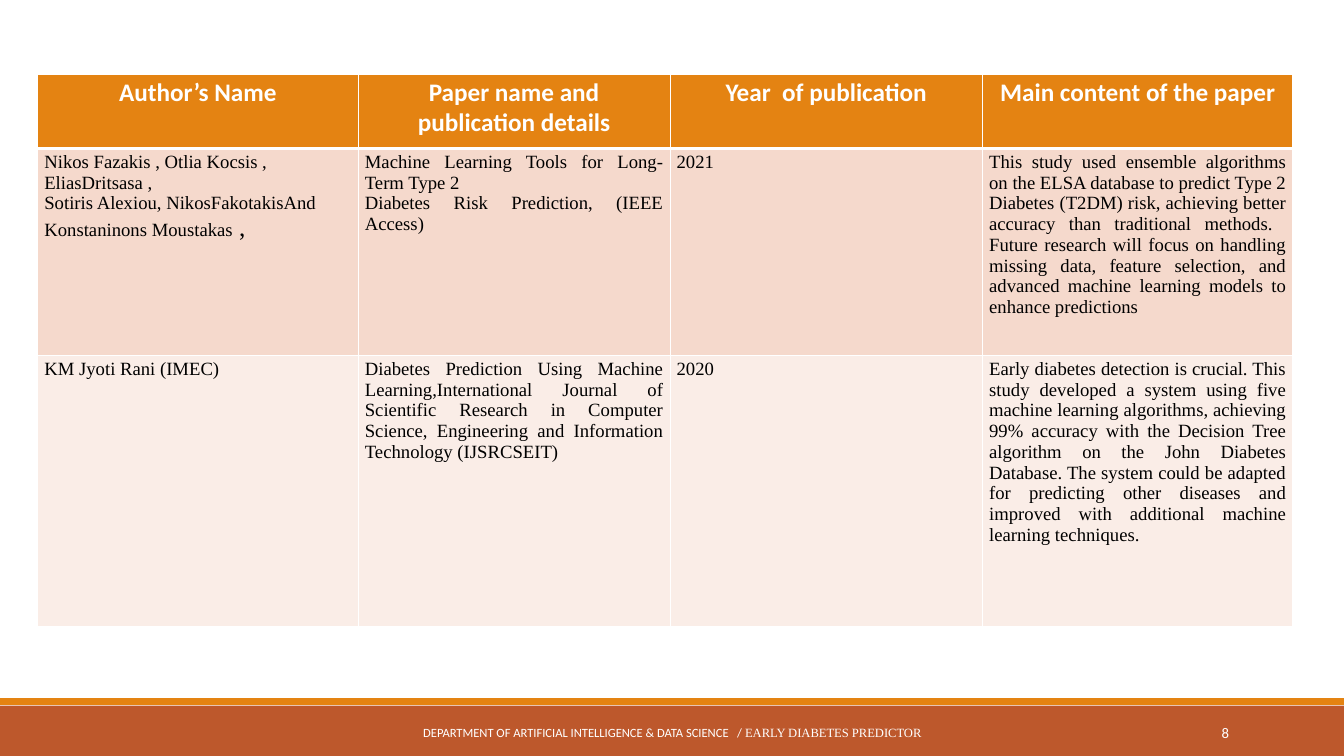
"""Build the literature survey slide with its table and footer."""
from dataclasses import dataclass

from lxml import etree
from pptx import Presentation
from pptx import util as u
from pptx.dml.color import RGBColor
from pptx.enum import shapes, text
from pptx.oxml.ns import qn

WIDTH, HEIGHT = 20, 11.25
WHITE, BLACK, ORANGE, RUST = "FFFFFF", "000000", "E48312", "BD582C"
SANS, SERIF = "Calibri", "Times New Roman"
COLUMNS = (4.77, 4.64, 4.65, 4.62)
ROWS = (1.11, 3.08, 4.03)
ALIGN = text.PP_ALIGN


@dataclass(frozen=True)
class Style:
    size: float
    face: str
    colour: str
    bold: bool = False


@dataclass(frozen=True)
class Box:
    left: float
    top: float
    width: float
    height: float

    def lengths(self) -> tuple:
        return tuple(u.Inches(n) for n in (self.left, self.top, self.width, self.height))


@dataclass(frozen=True)
class Paper:
    authors: tuple
    title: tuple
    year: str
    summary: str
    fill: str

    def cells(self) -> tuple:
        return self.authors, self.title, (self.year,), (self.summary,)


HEADING = Style(27, SANS, WHITE, True)
BODY = Style(20, SERIF, BLACK)
HEADINGS = (
    ("Author’s Name",),
    ("Paper name and", "publication details"),
    ("Year  of publication",),
    ("Main content of the paper",),
)
PAPERS = (
    Paper(
        ("Nikos Fazakis , Otlia Kocsis ,", "EliasDritsasa ,",
         "Sotiris Alexiou, NikosFakotakisAnd", "Konstaninons Moustakas"),
        ("Machine Learning Tools for Long-Term Type 2",
         "Diabetes Risk Prediction, (IEEE Access)"),
        "2021",
        "This study used ensemble algorithms on the ELSA database to predict Type 2 "
        "Diabetes (T2DM) risk, achieving better accuracy than traditional methods.  "
        "Future research will focus on handling missing data, feature selection, and "
        "advanced machine learning models to enhance predictions",
        "F5D9CC",
    ),
    Paper(
        ("KM Jyoti Rani (IMEC)",),
        ("Diabetes Prediction Using Machine Learning,International Journal of "
         "Scientific Research in Computer Science, Engineering and Information "
         "Technology (IJSRCSEIT)",),
        "2020",
        "Early diabetes detection is crucial. This study developed a system using five "
        "machine learning algorithms, achieving 99% accuracy with the Decision Tree "
        "algorithm on the John Diabetes Database. The system could be adapted for "
        "predicting other diseases and improved with additional machine learning "
        "techniques.",
        "FAEDE7",
    ),
)


def paint(fill, colour: str) -> None:
    """Fill with one solid hex colour."""
    fill.solid()
    fill.fore_color.rgb = RGBColor.from_string(colour)


def set_font(font, style: Style) -> None:
    """Apply a text style to a font."""
    font.size, font.name, font.bold = u.Pt(style.size), style.face, style.bold
    font.color.rgb = RGBColor.from_string(style.colour)


def write(frame, lines: tuple, style: Style, align) -> None:
    """Write each line as one paragraph."""
    for index, line in enumerate(lines):
        paragraph = frame.add_paragraph() if index else frame.paragraphs[0]
        paragraph.add_run().text = line
        paragraph.alignment = align
        set_font(paragraph.font, style)


def border(cell, bottom: float) -> None:
    """Draw white cell borders with the given bottom weight."""
    properties = cell._tc.get_or_add_tcPr()
    for index, (side, weight) in enumerate(
        (("lnL", 1), ("lnR", 1), ("lnT", 1), ("lnB", bottom))
    ):
        line = etree.Element(qn(f"a:{side}"), w=str(u.Pt(weight)))
        solid = etree.SubElement(line, qn("a:solidFill"))
        etree.SubElement(solid, qn("a:srgbClr"), val=WHITE)
        properties.insert(index, line)


def add_band(slide, box: Box, colour: str) -> None:
    """Add a plain footer band."""
    band = slide.shapes.add_shape(shapes.MSO_SHAPE.RECTANGLE, *box.lengths())
    band.shadow.inherit = False
    paint(band.fill, colour)
    band.line.fill.background()


def add_label(slide, box: Box, line: str, style: Style, align):
    """Add a vertically centred text box and return its paragraph."""
    frame = slide.shapes.add_textbox(*box.lengths()).text_frame
    frame.word_wrap = True
    frame.vertical_anchor = text.MSO_ANCHOR.MIDDLE
    write(frame, (line,), style, align)
    return frame.paragraphs[0]


def add_papers(slide) -> None:
    """Add the table of surveyed papers."""
    box = Box(0.56, 1.1, sum(COLUMNS), sum(ROWS))
    table = slide.shapes.add_table(len(ROWS), len(COLUMNS), *box.lengths()).table
    for column, width in zip(table.columns, COLUMNS):
        column.width = u.Inches(width)
    for row, height in zip(table.rows, ROWS):
        row.height = u.Inches(height)
    for column, lines in enumerate(HEADINGS):
        cell = table.cell(0, column)
        paint(cell.fill, ORANGE)
        border(cell, 3)
        write(cell.text_frame, lines, HEADING, ALIGN.CENTER)
    for row, paper in enumerate(PAPERS, 1):
        for column, lines in enumerate(paper.cells()):
            cell = table.cell(row, column)
            paint(cell.fill, paper.fill)
            border(cell, 1)
            align = ALIGN.LEFT if column == 2 else ALIGN.JUSTIFY
            write(cell.text_frame, lines, BODY, align)
    comma = table.cell(1, 0).text_frame.paragraphs[-1].add_run()
    comma.text = " ,"
    set_font(comma.font, Style(27, SERIF, BLACK))


def add_footer(slide) -> None:
    """Add the footer bands, department line and page number."""
    add_band(slide, Box(0, 10.5, WIDTH, 0.75), RUST)
    add_band(slide, Box(0, 10.39, WIDTH, 0.1), ORANGE)
    department = add_label(
        slide, Box(6.05, 10.6, 7.91, 0.6),
        "DEPARTMENT OF ARTIFICIAL INTELLIGENCE & DATA SCIENCE   / ",
        Style(13.5, SANS, WHITE), ALIGN.CENTER,
    )
    project = department.add_run()
    project.text = "EARLY DIABETES PREDICTOR"
    project.font.name = SERIF
    add_label(slide, Box(16.24, 10.6, 2.15, 0.6), "8", Style(15.8, SANS, WHITE), ALIGN.RIGHT)


def main() -> None:
    """Build and save the presentation."""
    presentation = Presentation()
    presentation.slide_width, presentation.slide_height = u.Inches(WIDTH), u.Inches(HEIGHT)
    slide = presentation.slides.add_slide(presentation.slide_layouts[6])
    add_footer(slide)
    add_papers(slide)
    presentation.save("out.pptx")


if __name__ == "__main__":
    main()
